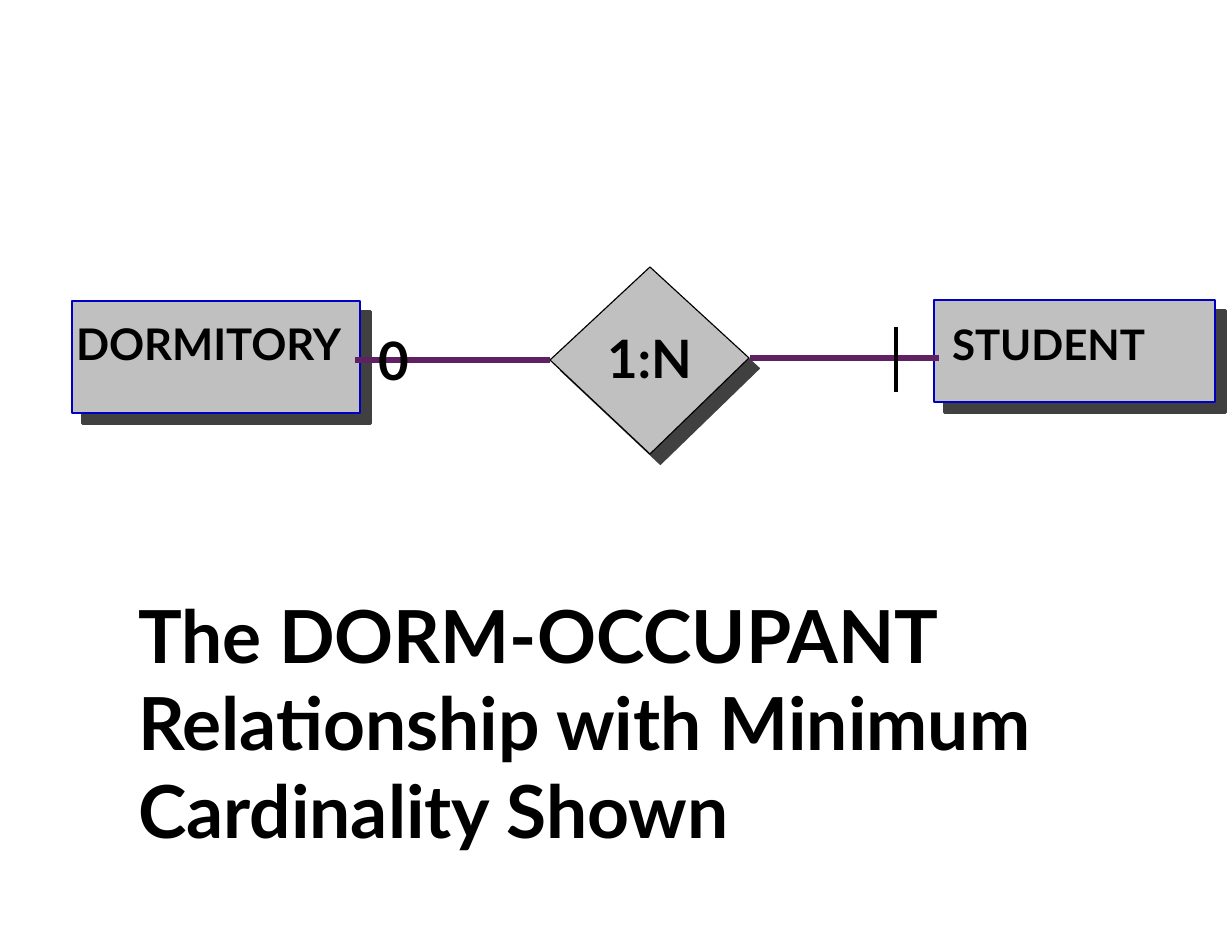
from lxml import etree
from pptx import Presentation
from pptx.dml.color import RGBColor
from pptx.enum.shapes import MSO_CONNECTOR, MSO_SHAPE
from pptx.enum.text import MSO_ANCHOR, MSO_AUTO_SIZE, PP_ALIGN
from pptx.oxml import parse_xml
from pptx.oxml.ns import nsdecls, qn
from pptx.util import Pt

ROUNDED = MSO_SHAPE.ROUNDED_RECTANGLE
STRAIGHT = MSO_CONNECTOR.STRAIGHT
TOP, LEFT, NO_FIT = MSO_ANCHOR.TOP, PP_ALIGN.LEFT, MSO_AUTO_SIZE.NONE

PX = 914400 / 112
PAGE = (1232, 952)
FONT = "Lato"
BLACK, GREY, BLUE, PURPLE, SHADOW = "000000", "C0C0C0", "0000C2", "602162", "404040"

TITLE = ("The DORM-OCCUPANT Relationship with Minimum Cardinality Shown",
         (138, 590, 1076, 269), 47)
ENTITIES = [(72, 301, 288, 112), (934, 300, 281, 102)]
DIAMOND = [(550, 360), (650, 267), (749, 358), (650, 454)]
LABELS = [
    ("DORMITORY", (76, 317, 314, 56), 28),
    ("STUDENT", (952, 318, 226, 55), 27),
    ("1:N", (607, 326, 125, 72), 34),
    ("0", (378, 328, 58, 69), 34),
]
LINES = [
    ((550, 360), (355, 360), PURPLE, 3.7),
    ((750, 358), (939, 358), PURPLE, 3.7),
    ((896, 327), (896, 392), BLACK, 3),
]


def emu(*lengths):
    return [round(length * PX) for length in lengths]


def color(value):
    return RGBColor.from_string(value)


def style_shape(shape, line_color, width):
    shape.fill.solid()
    shape.fill.fore_color.rgb = color(GREY)
    shape.line.color.rgb = color(line_color)
    shape.line.width = Pt(width)
    shape._element.spPr.append(parse_xml(
        f'<a:effectLst {nsdecls("a")}>'
        f'<a:outerShdw blurRad="0" dist="{Pt(9.5)}" dir="2700000" algn="ctr" rotWithShape="0">'
        f'<a:srgbClr val="{SHADOW}"/></a:outerShdw></a:effectLst>'))


def write_text(box, text, size):
    frame = box.text_frame
    frame_format = dict(word_wrap=True, auto_size=NO_FIT, vertical_anchor=TOP,
                        margin_left=0, margin_right=0, margin_top=0, margin_bottom=0)
    for name, value in frame_format.items():
        setattr(frame, name, value)
    para = frame.paragraphs[0]
    para.alignment = LEFT
    span = para.add_run()
    span.text = text
    for name, value in dict(name=FONT, size=Pt(size), bold=True).items():
        setattr(span.font, name, value)
    span.font.color.rgb = color(BLACK)


deck = Presentation()
deck.slide_width, deck.slide_height = emu(*PAGE)
page = deck.slides.add_slide(deck.slide_layouts[5])
shapes = page.shapes

for place in ENTITIES:
    entity = shapes.add_shape(ROUNDED, *emu(*place))
    entity.adjustments[0] = 0
    style_shape(entity, BLUE, 1.5)

outline = shapes.build_freeform(*DIAMOND[0], scale=PX)
outline.add_line_segments(DIAMOND[1:], close=True)
style_shape(outline.convert_to_shape(), BLACK, 0.75)

for start, end, line_color, width in LINES:
    line = shapes.add_connector(STRAIGHT, *emu(*start, *end))
    line.line.color.rgb = color(line_color)
    line.line.width = Pt(width)
    etree.SubElement(line._element.spPr, qn("a:effectLst"))

for text, place, size in LABELS:
    write_text(shapes.add_textbox(*emu(*place)), text, size)

text, place, size = TITLE
title = shapes.title
title.left, title.top, title.width, title.height = emu(*place)
write_text(title, text, size)

deck.save("out.pptx")
